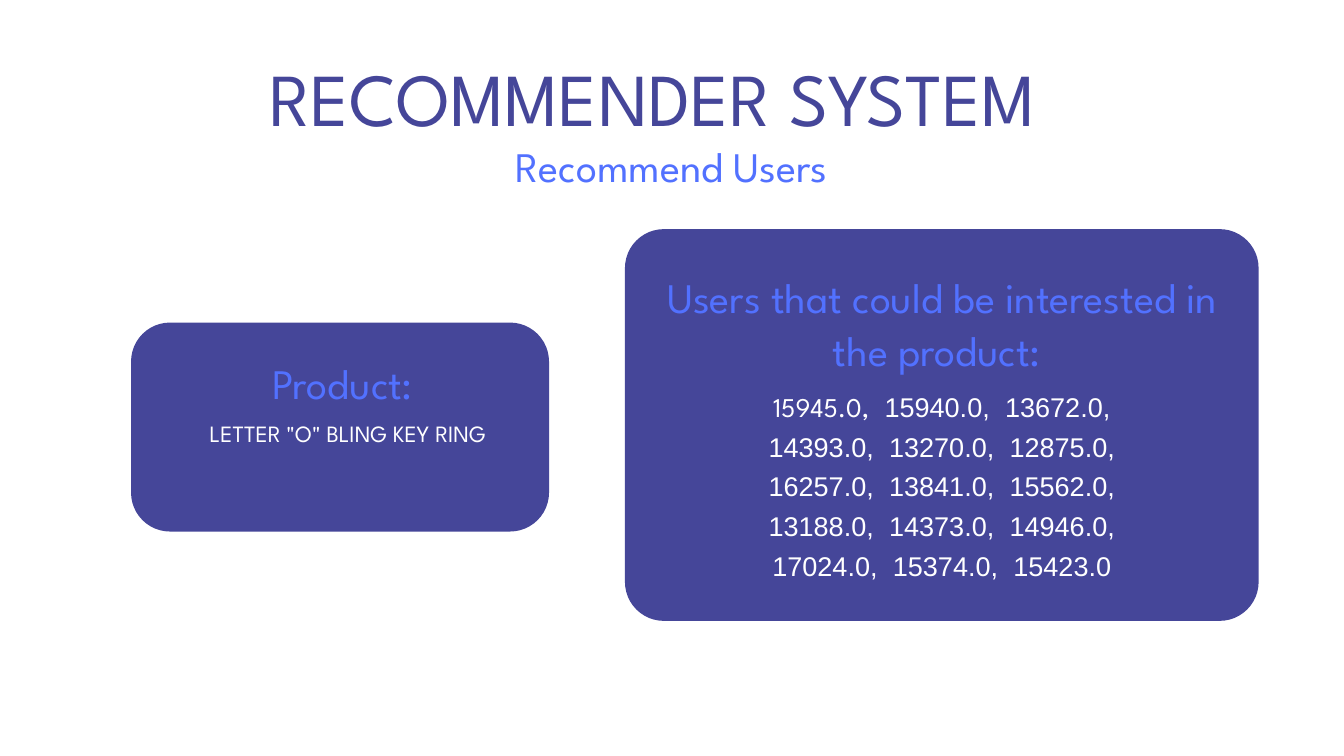
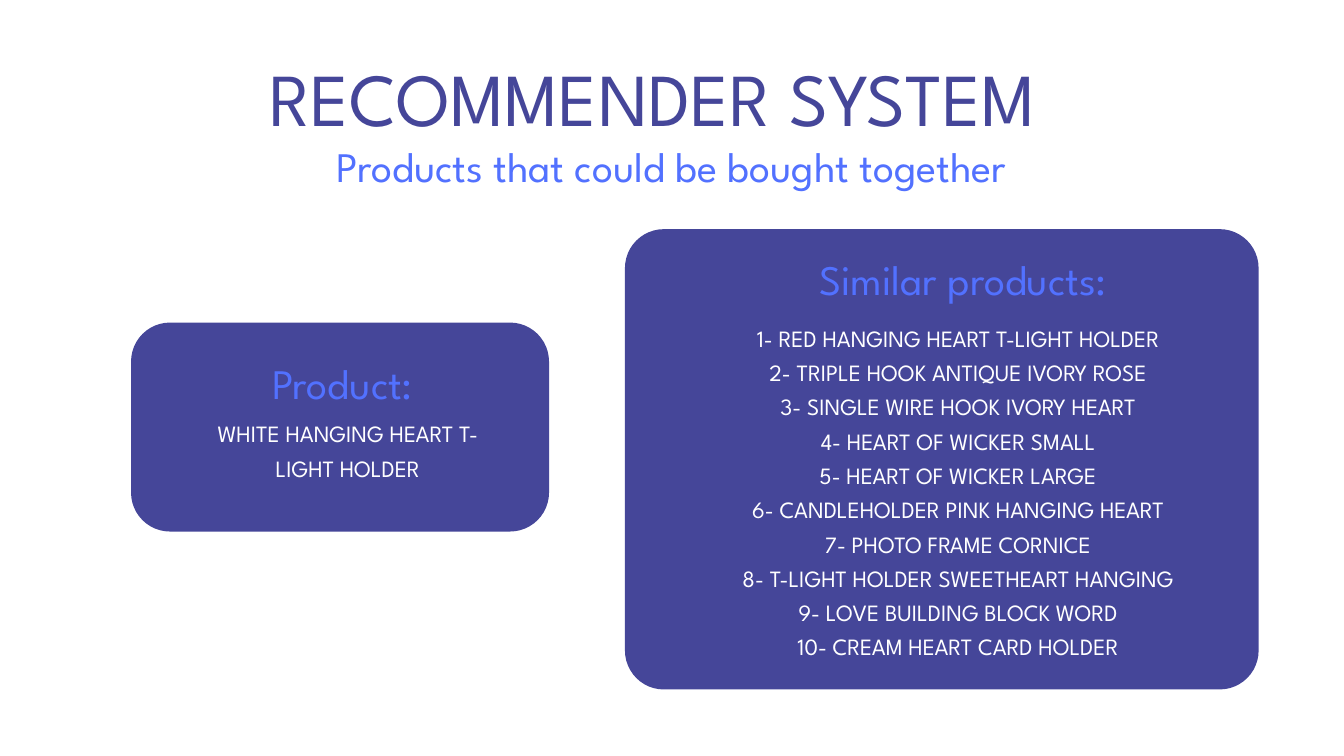
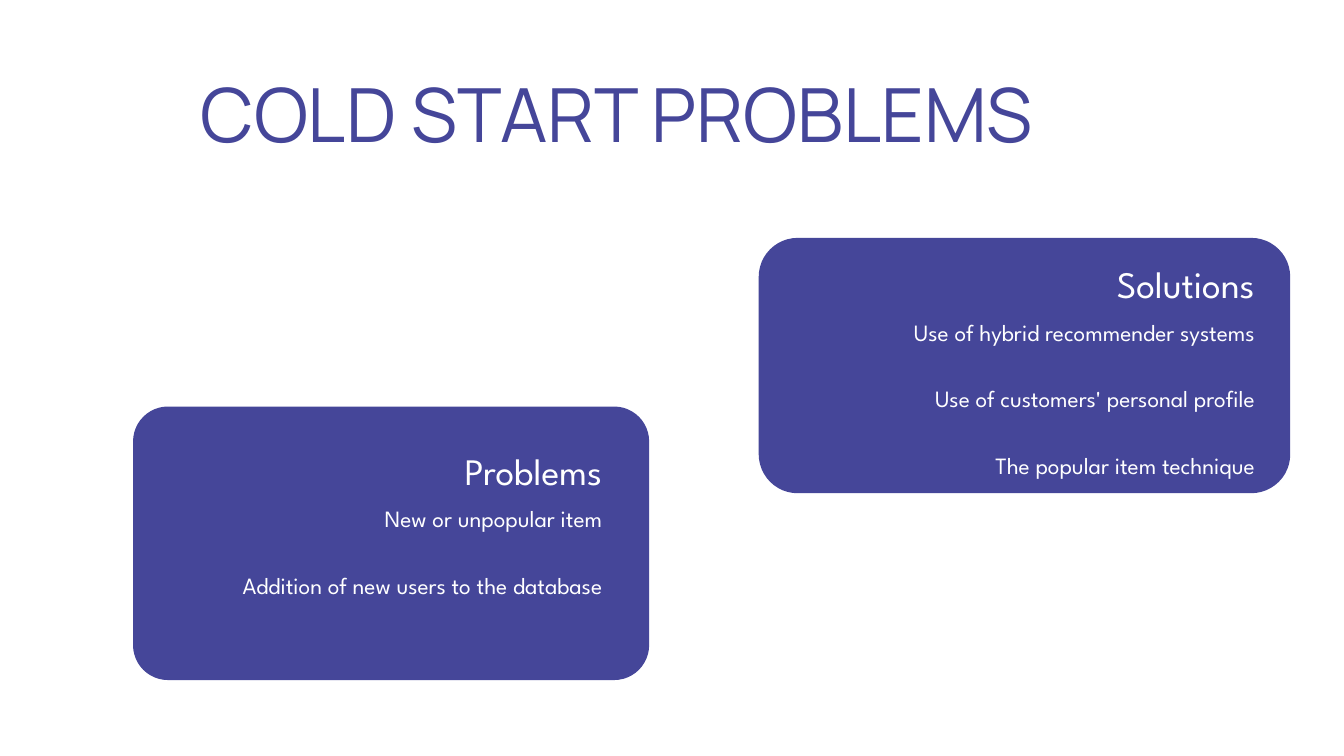
from pptx import Presentation
from pptx.dml.color import RGBColor
from pptx.enum.shapes import MSO_SHAPE
from pptx.enum.text import PP_ALIGN as AL
from pptx.util import Inches, Pt

INDIGO = RGBColor(0x45, 0x46, 0x99)
BLUE = RGBColor(0x52, 0x71, 0xFF)
WHITE = RGBColor(0xFF, 0xFF, 0xFF)
SPARTAN, MANROPE, ARIAL = "League Spartan", "Manrope", "Arial"

TITLE = dict(size=80, line=100.8, color=INDIGO)
SUBTITLE = dict(size=45, line=56.7, color=BLUE)
ITEM = dict(size=25, line=36.7, color=WHITE)
USER = dict(size=29, line=42.6, color=WHITE)
CARD_HEAD = dict(size=40, line=50.4, color=WHITE, align=AL.RIGHT)
CARD_ITEM = dict(size=25, line=35.5, color=WHITE, align=AL.RIGHT, gap=35.5)

USERS = [
    ("15945.0", "15940.0", "13672.0"),
    ("14393.0", "13270.0", "12875.0"),
    ("16257.0", "13841.0", "15562.0"),
    ("13188.0", "14373.0", "14946.0"),
    ("17024.0", "15374.0", "15423.0"),
]
SIMILAR = [
    "RED HANGING HEART T-LIGHT HOLDER",
    "TRIPLE HOOK ANTIQUE IVORY ROSE",
    "SINGLE WIRE HOOK IVORY HEART",
    "HEART OF WICKER SMALL",
    "HEART OF WICKER LARGE",
    "CANDLEHOLDER PINK HANGING HEART",
    "PHOTO FRAME CORNICE",
    "T-LIGHT HOLDER SWEETHEART HANGING",
    "LOVE BUILDING BLOCK WORD",
    "CREAM HEART CARD HOLDER",
]
COLD_START = [
    dict(card=(11.29, 3.54, 7.91, 3.8), radius=0.58, text=(11.6, 3.86, 7.07),
         head="Solutions",
         items=["Use of hybrid recommender systems",
                "Use of customers' personal profile",
                "The popular item technique"]),
    dict(card=(1.98, 6.05, 7.68, 4.07), radius=0.52, text=(3.27, 6.63, 5.69),
         head="Problems",
         items=["New or unpopular item",
                "Addition of new users to the database"]),
]


def add_slide(prs):
    return prs.slides.add_slide(prs.slide_layouts[6])


def add_run(p, text, size, color, font):
    r = p.add_run()
    r.text = text
    r.font.size = Pt(size)
    r.font.name = font
    r.font.color.rgb = color
    return r


def add_text(s, at, lines, size, line, color, font=SPARTAN, align=AL.CENTER, gap=0):
    tf = s.shapes.add_textbox(*map(Inches, at)).text_frame
    tf.word_wrap = True
    tf.margin_left = tf.margin_right = tf.margin_top = tf.margin_bottom = 0
    for i, runs in enumerate(lines):
        p = tf.add_paragraph() if i else tf.paragraphs[0]
        p.alignment = align
        p.line_spacing = Pt(line)
        if i and gap:
            p.space_before = Pt(gap)
        if isinstance(runs, str):
            runs = [(runs, font, 0)]
        for text, face, tracking in runs:
            r = add_run(p, text, size, color, face)
            if tracking:
                r.font._element.set("spc", str(tracking))


def add_card(s, at, radius=0.58):
    sp = s.shapes.add_shape(MSO_SHAPE.ROUNDED_RECTANGLE, *map(Inches, at))
    sp.adjustments[0] = radius / min(at[2:])
    sp.shadow.inherit = False
    sp.fill.solid()
    sp.fill.fore_color.rgb = INDIGO
    sp.line.fill.background()


def user_lines():
    lines = []
    for i, row in enumerate(USERS):
        runs = []
        for j, user in enumerate(row):
            last = i == len(USERS) - 1 and j == len(row) - 1
            face = SPARTAN if i == j == 0 else ARIAL
            if j:
                runs.append((" ", ARIAL, 800))
            runs.append((user if last else user + ",", face, 0))
        lines.append(runs)
    return lines


def recommender_slide(prs, subtitle, product, card_height):
    s = add_slide(prs)
    add_text(s, (1.72, 0.7, 15.99, 1.38), ["RECOMMENDER SYSTEM"], **TITLE)
    add_text(s, (3.49, 2.05, 13.01, 0.78), [subtitle], **SUBTITLE)
    add_card(s, (1.95, 4.8, 6.22, 3.11))
    add_card(s, (9.3, 3.41, 9.43, card_height))
    add_text(s, (-1.33, 5.28, 13.01, 0.78), ["Product: "], **SUBTITLE)
    add_text(s, (2.89, 6.15, 4.57, 0.98), [product], **ITEM)
    return s


def cold_start_slide(prs):
    s = add_slide(prs)
    add_text(s, (1.12, 0.95, 16.13, 1.46), ["COLD START PROBLEMS"], font=MANROPE, **TITLE)
    for part in COLD_START:
        add_card(s, part["card"], part["radius"])
        left, top, width = part["text"]
        items = part["items"]
        height = (2 * len(items) - 1) * CARD_ITEM["line"] / 72
        add_text(s, (left, top, width, 0.69), [part["head"]], **CARD_HEAD)
        add_text(s, (left, top + 0.8, width, height), items, **CARD_ITEM)


def main():
    prs = Presentation()
    prs.slide_width, prs.slide_height = Inches(20), Inches(11.25)

    s = recommender_slide(prs, "Recommend Users", 'LETTER "O" BLING KEY RING', 5.83)
    add_text(s, (8.5, 5.7, 11.03, 2.88), user_lines(), **USER)
    add_text(s, (9.84, 4.01, 8.36, 1.56),
             ["Users that could be interested in the product: "], **SUBTITLE)

    s = recommender_slide(prs, "Products that could be bought together",
                          "WHITE HANGING HEART T-LIGHT HOLDER", 6.85)
    numbered = [f"{n}- {name}" for n, name in enumerate(SIMILAR, 1)]
    add_text(s, (9.3, 4.73, 9.91, 4.98), numbered, **ITEM)
    add_text(s, (7.75, 3.73, 13.01, 0.78), [" Similar products:"], **SUBTITLE)

    cold_start_slide(prs)
    prs.save("out.pptx")


if __name__ == "__main__":
    main()
